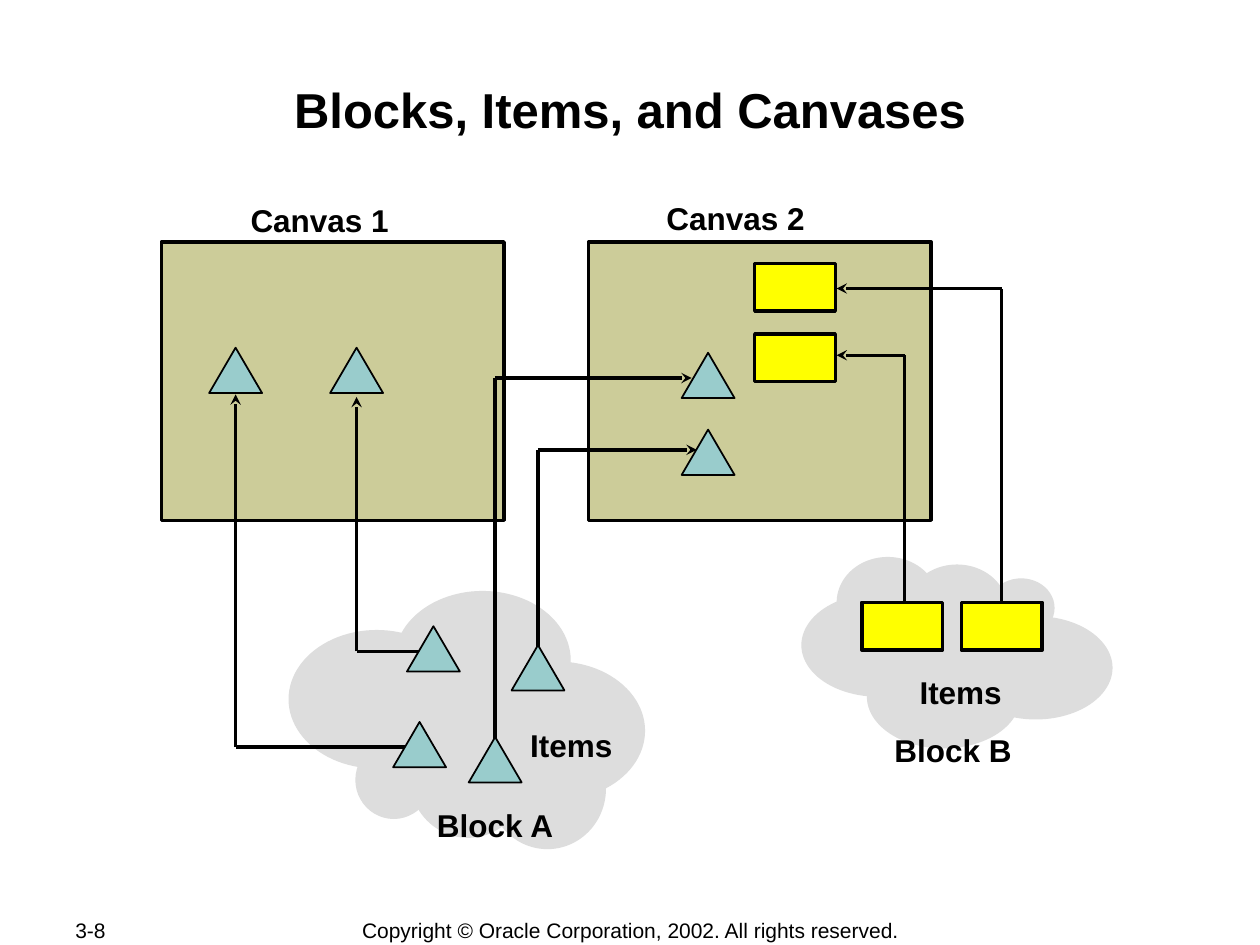
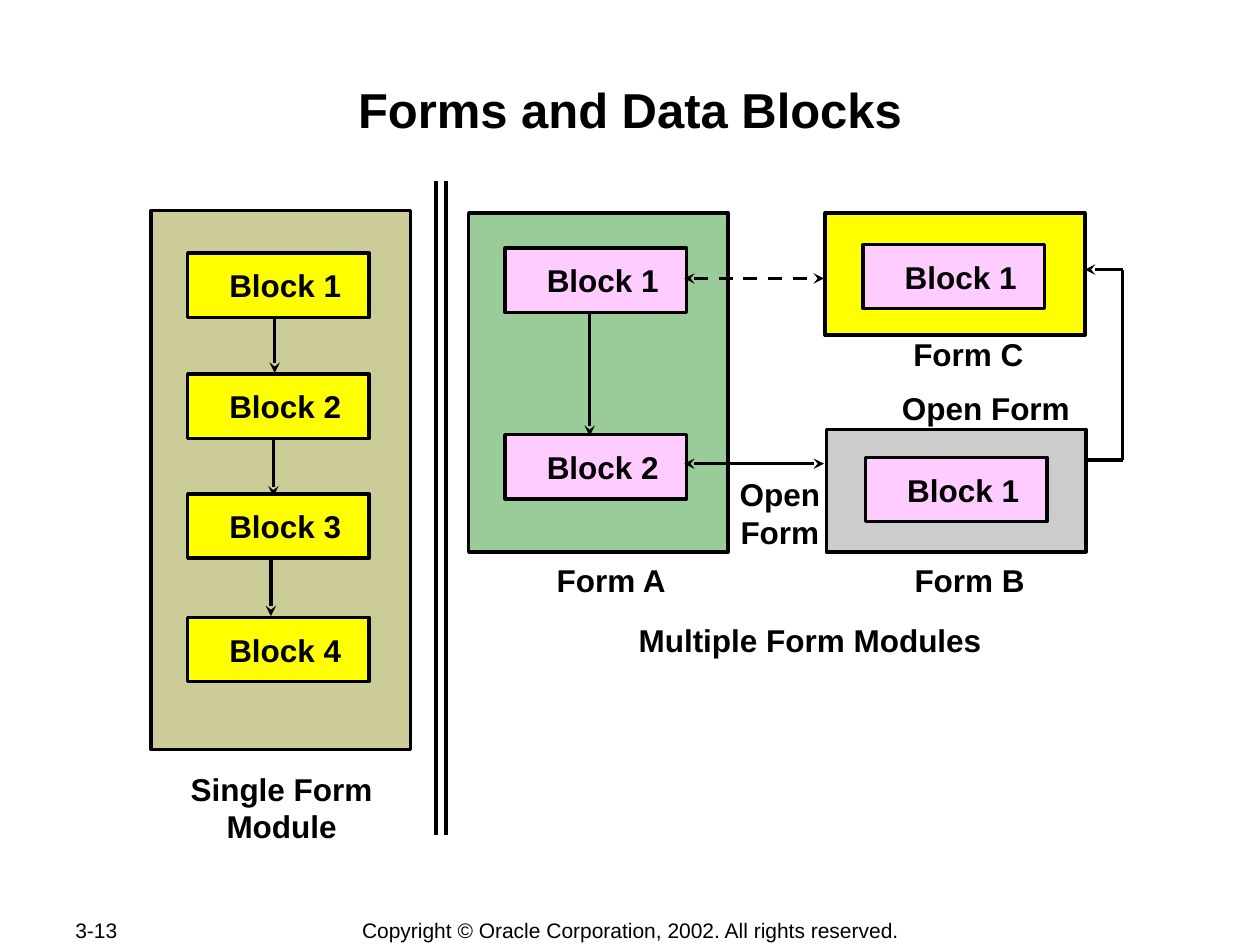
"""Build two slides on form canvases, items and data blocks."""
import dataclasses
import itertools

import pptx
import pptx.dml.color
import pptx.enum.dml
import pptx.enum.shapes
import pptx.enum.text
import pptx.oxml.xmlchemy
import pptx.util

Inches = pptx.util.Inches
Shape = pptx.enum.shapes.MSO_SHAPE
Align = pptx.enum.text.PP_ALIGN


@dataclasses.dataclass(frozen=True)
class Theme:
    font: str = "Arial"
    ink: str = "000000"
    canvas: str = "CCCC99"
    cloud: str = "DDDDDD"
    triangle: str = "99CCCC"
    yellow: str = "FFFF00"
    green: str = "99CC99"
    pink: str = "FFCCFF"
    gray: str = "CCCCCC"
    title_size: int = 28
    label_size: int = 18
    footer_size: int = 12
    line: int = 2
    thin_line: int = 1


THEME = Theme()
INK = pptx.dml.color.RGBColor.from_string(THEME.ink)


def add_box(page, frame, text="", kind=None, fill=None, line=0, size=THEME.label_size,
            bold=True, align=Align.LEFT, wrap=False, middle=False, inset=0.1):
    """Add a filled preset shape, or a text box when no kind is given."""
    lengths = [Inches(value) for value in frame]
    if kind is None:
        box = page.shapes.add_textbox(*lengths)
    else:
        box = page.shapes.add_shape(kind, *lengths)
        box.shadow.inherit = False
        box.fill.solid()
        box.fill.fore_color.rgb = pptx.dml.color.RGBColor.from_string(fill)
        if line:
            box.line.color.rgb = INK
            box.line.width = pptx.util.Pt(line)
        else:
            box.line.fill.background()
    if text:
        text_frame = box.text_frame
        text_frame.text = text
        text_frame.word_wrap = wrap
        text_frame.margin_left = Inches(inset)
        text_frame.vertical_anchor = (pptx.enum.text.MSO_ANCHOR.MIDDLE if middle
                                      else pptx.enum.text.MSO_ANCHOR.TOP)
        for para in text_frame.paragraphs:
            para.alignment = align
            for span in para.runs:
                span.font.name = THEME.font
                span.font.size = pptx.util.Pt(size)
                span.font.bold = bold
                span.font.color.rgb = INK


def add_route(page, points, arrow=True, both=False, dashed=False):
    """Join the points with straight lines and put an arrowhead at the end."""
    for start, end in itertools.pairwise(points):
        ends = [Inches(value) for value in (*start, *end)]
        connector = page.shapes.add_connector(pptx.enum.shapes.MSO_CONNECTOR.STRAIGHT, *ends)
        connector.line.color.rgb = INK
        connector.line.width = pptx.util.Pt(THEME.line)
        if dashed:
            connector.line.dash_style = pptx.enum.dml.MSO_LINE.DASH
        outline = connector.line._get_or_add_ln()
        for tag, wanted in (("a:headEnd", both), ("a:tailEnd", arrow and end == points[-1])):
            if wanted:
                arrowhead = pptx.oxml.xmlchemy.OxmlElement(tag)
                arrowhead.set("type", "stealth")
                outline.append(arrowhead)
        outline.getparent().append(pptx.oxml.xmlchemy.OxmlElement("a:effectLst"))


deck = pptx.Presentation()
deck.slide_width = Inches(10)
deck.slide_height = Inches(7.5)

pages = []
for heading, number in (("Blocks, Items, and Canvases", "3-8"), ("Forms and Data Blocks", "3-13")):
    page = deck.slides.add_slide(deck.slide_layouts[5])
    title = page.shapes.title
    title.left, title.top, title.width, title.height = [Inches(v) for v in (1, 0.58, 8, 0.96)]
    title.text_frame.text = heading
    title.text_frame.vertical_anchor = pptx.enum.text.MSO_ANCHOR.TOP
    title.text_frame.margin_top = Inches(0.05)
    para = title.text_frame.paragraphs[0]
    para.alignment = Align.CENTER
    for span in para.runs:
        span.font.name = THEME.font
        span.font.size = pptx.util.Pt(THEME.title_size)
        span.font.bold = True
        span.font.color.rgb = INK
    add_box(page, (0.5, 7.28, 1.06, 0.2), number, size=THEME.footer_size, bold=False,
            wrap=True, middle=True)
    add_box(page, (2.76, 7.28, 4.49, 0.21),
            "Copyright © Oracle Corporation, 2002. All rights reserved.",
            size=THEME.footer_size, bold=False, align=Align.CENTER, middle=True)
    pages.append(page)
canvas_page, form_page = pages

block_a_puffs = [(2.29, 5, 1.4, 1.1), (3.13, 4.69, 1.4, 1.1), (3.72, 5.25, 1.4, 1.1),
                 (3.88, 5.78, 0.93, 0.96), (3.25, 5.69, 0.93, 0.96), (2.82, 5.88, 0.61, 0.62)]
block_b_puffs = [(7.61, 4.89, 1.22, 0.82), (6.88, 5.12, 1.22, 0.82), (6.36, 4.71, 1.22, 0.82),
                 (6.64, 4.42, 0.81, 0.72), (7.19, 4.48, 0.81, 0.72), (7.84, 4.59, 0.53, 0.47)]
for puff in block_a_puffs + block_b_puffs:
    add_box(canvas_page, puff, kind=Shape.OVAL, fill=THEME.cloud)
for left in (1.28, 4.67):
    add_box(canvas_page, (left, 1.92, 2.72, 2.21), kind=Shape.RECTANGLE,
            fill=THEME.canvas, line=THEME.line)
for text, left, top, width in (("Canvas 1", 1.89, 1.55, 1.3), ("Canvas 2", 5.19, 1.53, 1.3),
                               ("Items", 4.11, 5.71, 0.86), ("Items", 7.2, 5.29, 0.86),
                               ("Block A", 3.37, 6.35, 1.13), ("Block B", 7, 5.75, 1.13)):
    add_box(canvas_page, (left, top, width, 0.4), text)

for route in ([(3.42, 5.17), (2.83, 5.17), (2.83, 3.15)],
              [(3.23, 5.93), (1.87, 5.93), (1.87, 3.13)],
              [(3.93, 6.07), (3.93, 3), (5.49, 3)],
              [(4.27, 5.3), (4.27, 3.57), (5.53, 3.57)],
              [(7.18, 5), (7.18, 2.82), (6.64, 2.82)],
              [(7.95, 5.04), (7.95, 2.29), (6.64, 2.29)]):
    add_route(canvas_page, route)
for left, top in ((1.66, 2.76), (2.62, 2.76), (5.41, 2.8), (5.41, 3.41),
                  (3.23, 4.97), (3.12, 5.73), (3.72, 5.85), (4.06, 5.12)):
    add_box(canvas_page, (left, top, 0.42, 0.36), kind=Shape.ISOSCELES_TRIANGLE,
            fill=THEME.triangle, line=THEME.thin_line)
for left, top in ((5.99, 2.09), (5.99, 2.65), (6.84, 4.78), (7.63, 4.78)):
    add_box(canvas_page, (left, top, 0.64, 0.38), kind=Shape.RECTANGLE,
            fill=THEME.yellow, line=THEME.line)

for left, top, height, fill in ((1.2, 1.67, 4.28, THEME.canvas), (3.72, 1.69, 2.69, THEME.green),
                                (6.55, 1.69, 0.97, THEME.yellow), (6.56, 3.41, 0.97, THEME.gray)):
    add_box(form_page, (left, top, 2.06, height), kind=Shape.RECTANGLE,
            fill=fill, line=THEME.line)
for divider_x in (3.46, 3.54):
    add_route(form_page, [(divider_x, 1.44), (divider_x, 6.63)], arrow=False)
for arrow_x, top, bottom in ((2.18, 2.53, 2.96), (2.17, 3.46, 3.94), (2.15, 4.42, 4.89)):
    add_route(form_page, [(arrow_x, top), (arrow_x, bottom)])

for text, left, top, fill in (("Block 1", 1.49, 2.01, THEME.yellow),
                              ("Block 2", 1.49, 2.97, THEME.yellow),
                              ("Block 3", 1.49, 3.92, THEME.yellow),
                              ("Block 4", 1.49, 4.9, THEME.yellow),
                              ("Block 1", 4.01, 1.97, THEME.pink),
                              ("Block 2", 4.01, 3.45, THEME.pink),
                              ("Block 1", 6.85, 1.94, THEME.pink),
                              ("Block 1", 6.87, 3.63, THEME.pink)):
    add_box(form_page, (left, top, 1.44, 0.51), text, kind=Shape.RECTANGLE, fill=fill,
            line=THEME.line, wrap=True, middle=True, inset=0.33)

add_route(form_page, [(4.68, 2.48), (4.68, 3.46)])
add_route(form_page, [(5.43, 2.21), (6.54, 2.21)], both=True, dashed=True)
add_route(form_page, [(5.43, 3.68), (6.54, 3.68)], both=True)
add_route(form_page, [(8.62, 3.65), (8.91, 3.65), (8.91, 2.14), (8.61, 2.14)])

for text, left, top, width in (("Form A", 4.32, 4.4, 1.08), ("Form B", 7.16, 4.4, 1.08),
                               ("Form C", 7.15, 2.61, 1.08), ("Open Form", 7.06, 3.04, 1.54),
                               ("Multiple Form Modules", 4.97, 4.88, 2.92)):
    add_box(form_page, (left, top, width, 0.4), text)
for text, left, top, width in (("Single Form\nModule", 1.41, 6.06, 1.65),
                               ("Open\nForm", 5.77, 3.72, 0.84)):
    add_box(form_page, (left, top, width, 0.7), text, align=Align.CENTER)

deck.save("out.pptx")
